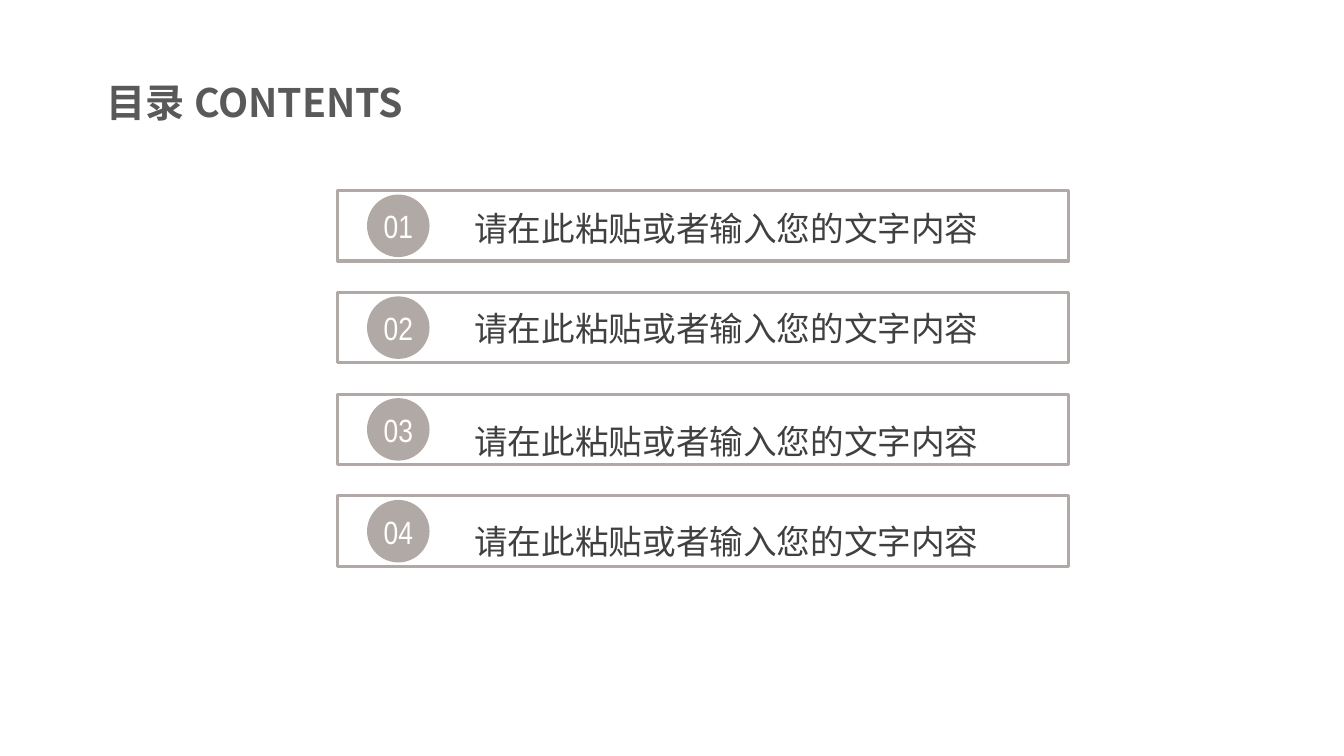
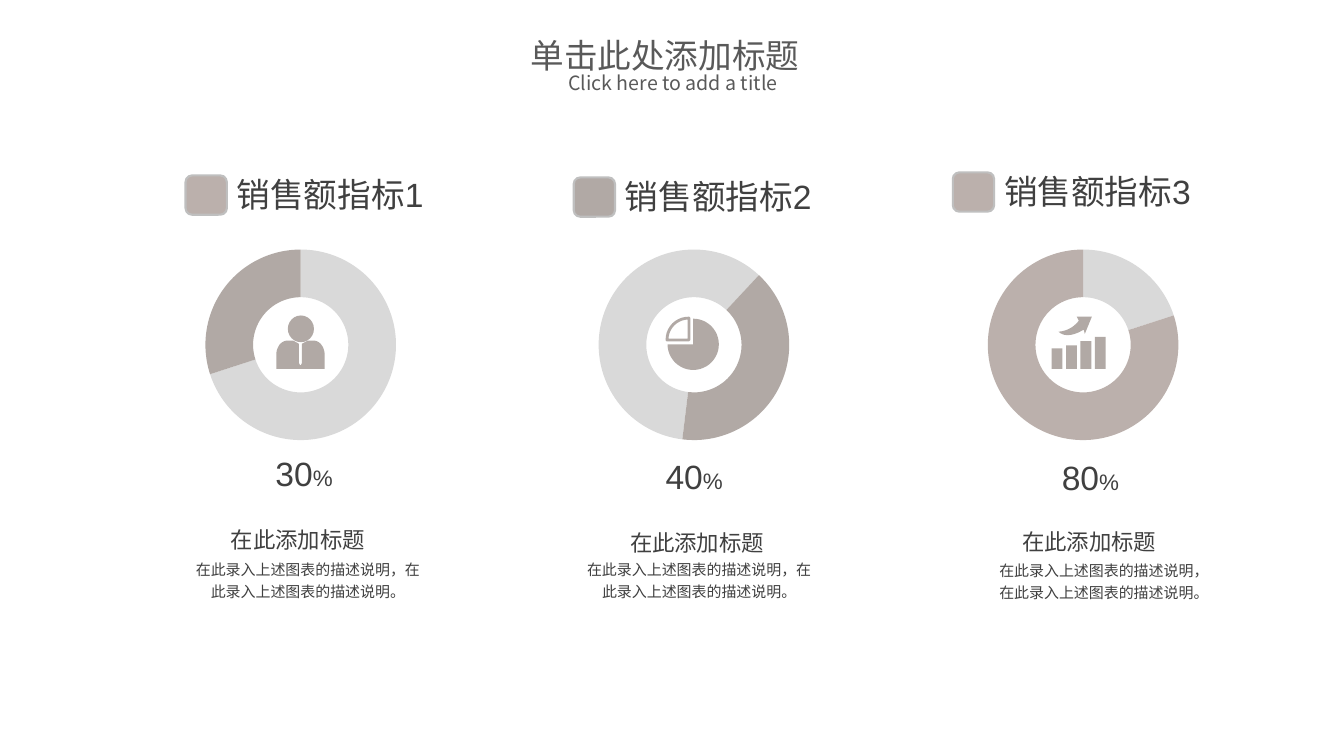
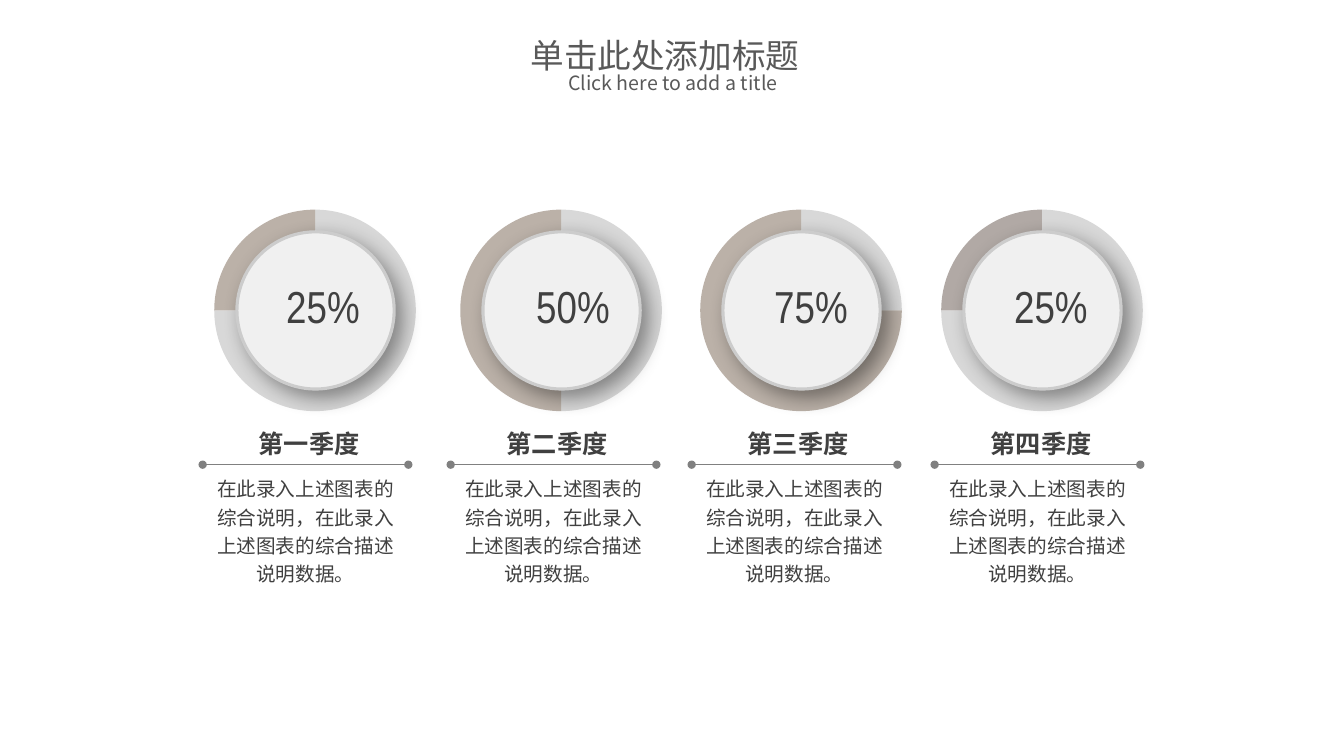
from dataclasses import dataclass

from lxml.etree import SubElement
from pptx import Presentation
from pptx.chart.data import CategoryChartData
from pptx.dml.color import RGBColor
from pptx.enum.chart import XL_CHART_TYPE
from pptx.enum.shapes import MSO_CONNECTOR, MSO_SHAPE
from pptx.enum.text import MSO_ANCHOR, MSO_AUTO_SIZE, PP_ALIGN
from pptx.oxml.ns import qn
from pptx.util import Inches, Pt


@dataclass(frozen=True)
class Theme:
    """Colours, fonts and type sizes shared by the slides."""

    stone: str = "B1A9A5"
    rose: str = "BBB0AC"
    sand: str = "BBB1A8"
    track: str = "D9D9D9"
    ring_track: str = "D8D8D8"
    disc: str = "F0F0F0"
    disc_edge: str = "CCCCCC"
    swatch_edge: str = "BFBFBF"
    rule: str = "808080"
    title: str = "595959"
    body: str = "404040"
    white: str = "FFFFFF"
    black: str = "000000"
    sans: str = "Noto Sans CJK SC"
    arial: str = "Arial"
    narrow: str = "Arial Narrow"
    calibri: str = "Calibri"
    east_asian: str = "Calibri"
    contents_size: float = 28
    title_size: float = 24
    subtitle_size: float = 14
    number_size: float = 23
    unit_size: float = 16
    caption_size: float = 10.7
    quarter_size: float = 18
    share_size: float = 32
    chart_size: float = 10


THEME = Theme()


@dataclass(frozen=True)
class Box:
    """A rectangle on the one-inch grid of the slide."""

    left: float
    top: float
    width: float
    height: float

    def inner(self, column, row, width, height):
        """Return a box placed in grid cells from this corner."""
        return Box(self.left + column, self.top + row, width, height)

    def share(self, x, y, width, height):
        """Return a box given as shares of this one."""
        return self.inner(x * self.width, y * self.height, width * self.width, height * self.height)

    def point(self, x, y):
        """Return a point given as shares of this box."""
        return Inches(self.left + x * self.width), Inches(self.top + y * self.height)

    def lengths(self):
        """Return the four lengths for the drawing methods."""
        return [Inches(value) for value in (self.left, self.top, self.width, self.height)]


def write(shape, text, size, font=THEME.arial, color=THEME.body, bold=False, align=PP_ALIGN.LEFT,
          spacing=None, anchor=MSO_ANCHOR.TOP, fit=True, margins=(0.1, 0.05), unit="",
          append=False, indent=0):
    """Write one formatted paragraph into a shape."""
    frame = shape.text_frame
    frame.word_wrap = True
    frame.auto_size = MSO_AUTO_SIZE.SHAPE_TO_FIT_TEXT if fit else MSO_AUTO_SIZE.NONE
    frame.vertical_anchor = anchor
    frame.margin_left = frame.margin_right = Inches(margins[0])
    frame.margin_top = frame.margin_bottom = Inches(margins[1])
    para = frame.add_paragraph() if append else frame.paragraphs[0]
    para.alignment = align
    if spacing:
        para.line_spacing = spacing
    if indent:
        para._p.get_or_add_pPr().set("marL", str(Inches(indent)))
    for words, points in ((text, size), (unit, THEME.unit_size)):
        if words:
            span = para.add_run()
            span.text = words
            span.font.size = Pt(points)
            span.font.bold = bold
            span.font.name = font
            span.font.color.rgb = RGBColor.from_string(color)
            properties = span._r.get_or_add_rPr()
            properties.set("lang", "zh-CN")
            SubElement(properties, qn("a:ea")).set("typeface", THEME.east_asian)


def label(page, box, text, size, **style):
    """Add a text box."""
    write(page.shapes.add_textbox(*box.lengths()), text, size, **style)


def paint(shape, fill=None, line=None, width=1):
    """Set fill and line, and drop the shadow."""
    shape.shadow.inherit = False
    if fill:
        shape.fill.solid()
        shape.fill.fore_color.rgb = RGBColor.from_string(fill)
    else:
        shape.fill.background()
    if line:
        shape.line.color.rgb = RGBColor.from_string(line)
        shape.line.width = Pt(width)
    else:
        shape.line.fill.background()
    return shape


def draw(page, kind, box, **style):
    """Add a preset shape."""
    return paint(page.shapes.add_shape(kind, *box.lengths()), **style)


def outline(page, box, points, **style):
    """Add a closed outline whose points are shares of the box."""
    corners = [box.point(*point) for point in points]
    builder = page.shapes.build_freeform(*corners[0])
    builder.add_line_segments(corners[1:], close=True)
    return paint(builder.convert_to_shape(), **style)


def curve(*controls, steps=10):
    """Sample a cubic curve through its four control points."""
    samples = []
    for step in range(steps + 1):
        t = step / steps
        weights = ((1 - t) ** 3, 3 * t * (1 - t) ** 2, 3 * t * t * (1 - t), t ** 3)
        samples.append(tuple(sum(w * p[axis] for w, p in zip(weights, controls)) for axis in (0, 1)))
    return samples


def person_icon(page, box):
    """Draw a head and shoulders with a tie."""
    draw(page, MSO_SHAPE.OVAL, box.share(0.24, 0, 0.54, 0.5), fill=THEME.stone)
    half = [(0, 1), *curve((0, 0.74), (0, 0.59), (0.1, 0.47), (0.23, 0.47)),
            (0.35, 0.47), (0.47, 0.53), (0.47, 0.89), (0.49, 0.93)]
    mirrored = [(1 - x, y) for x, y in reversed(half)]
    outline(page, box, half + mirrored, fill=THEME.stone)


def pie_icon(page, box):
    """Draw a pie with one quarter pulled out."""
    wedge = draw(page, MSO_SHAPE.PIE, box.share(0.04, 0.04, 0.96, 0.96), fill=THEME.stone)
    wedge.rotation = 270
    quarter = curve((0.03, 0.44), (0.03, 0.21), (0.21, 0.03), (0.44, 0.03)) + [(0.44, 0.44)]
    outline(page, box, quarter, line=THEME.stone, width=2)


def growth_icon(page, box):
    """Draw four rising bars under an arrow."""
    for index, height in enumerate((0.39, 0.45, 0.53, 0.61)):
        draw(page, MSO_SHAPE.RECTANGLE, box.share(index * 0.265, 1 - height, 0.2, height),
             fill=THEME.stone)
    arrow = [*curve((0.5, 0.08), (0.46, 0.13), (0.35, 0.27), (0.13, 0.29)),
             *curve((0.13, 0.29), (0.13, 0.29), (0.26, 0.46), (0.59, 0.25)),
             (0.61, 0.33), (0.74, 0), (0.46, 0)]
    outline(page, box, arrow, fill=THEME.stone)


def share_chart(page, kind, box, values, colors, layout):
    """Add a round chart of two values and return its plot."""
    data = CategoryChartData()
    data.categories = ["1", "2"]
    data.add_series("Series 1", values)
    chart = page.shapes.add_chart(kind, *box.lengths(), data).chart
    chart.has_legend = False
    chart.has_title = False
    chart.font.size = Pt(THEME.chart_size)
    chart.font.name = THEME.calibri
    chart.font.color.rgb = RGBColor.from_string(THEME.black)
    plot = chart.plots[0]
    plot.vary_by_categories = True
    for index, color in enumerate(colors):
        part = plot.series[0].points[index].format
        part.fill.solid()
        part.fill.fore_color.rgb = RGBColor.from_string(color)
        part.line.fill.background()
    area = plot._element.getparent()
    for old in area.findall(qn("c:layout")):
        area.remove(old)
    holder = SubElement(area, qn("c:layout"))
    area.insert(0, holder)
    manual = SubElement(holder, qn("c:manualLayout"))
    settings = [("layoutTarget", "inner"), ("xMode", "edge"), ("yMode", "edge"),
                *zip("xywh", layout)]
    for name, value in settings:
        SubElement(manual, qn(f"c:{name}")).set("val", str(value))
    return plot


def add_page(deck, box, text, size, **style):
    """Add a title-only slide and format its title."""
    page = deck.slides.add_slide(deck.slide_layouts[5])
    title = page.shapes.title
    title.left, title.top, title.width, title.height = box.lengths()
    write(title, text, size, font=THEME.sans, color=THEME.title, anchor=MSO_ANCHOR.MIDDLE,
          fit=False, **style)
    return page


def add_report_page(deck):
    """Add a slide with the centred two-line title."""
    page = add_page(deck, Box(3.88, 0.38, 5.43, 0.52), "单击此处添加标题", THEME.title_size,
                    align=PP_ALIGN.CENTER)
    write(page.shapes.title, "Click here to add a title", THEME.subtitle_size, font=THEME.sans,
          color=THEME.title, anchor=MSO_ANCHOR.MIDDLE, fit=False, align=PP_ALIGN.CENTER,
          append=True, indent=0.16, spacing=0.8)
    return page


def contents_row(page, box, number, text_row):
    """Draw one framed entry with its number."""
    draw(page, MSO_SHAPE.RECTANGLE, box, line=THEME.stone, width=2.25)
    draw(page, MSO_SHAPE.OVAL, box.inner(0.29, 0.04, 0.62, 0.62), fill=THEME.stone)
    label(page, box.inner(0.88, text_row, 5.95, 0.59), "请在此粘贴或者输入您的文字内容",
          THEME.title_size, font=THEME.sans, align=PP_ALIGN.CENTER, spacing=1.3,
          margins=(0.07, 0.04))
    label(page, box.inner(0.34, 0.13, 0.52, 0.44), f"{number:02d}", THEME.number_size,
          font=THEME.narrow, color=THEME.white, align=PP_ALIGN.CENTER, margins=(0.06, 0.03))


def contents_slide(deck):
    """Build the table of contents."""
    page = add_page(deck, Box(0.96, 0.75, 3.82, 0.52), "目录 CONTENTS", THEME.contents_size,
                    bold=True)
    first = Box(3.35, 1.89, 7.25, 0.7)
    for index, text_row in enumerate((0.01, -0.01, 0.11, 0.09)):
        contents_row(page, first.inner(0, index * 1.01, first.width, first.height),
                     index + 1, text_row)


@dataclass(frozen=True)
class Indicator:
    """One sales indicator and the cells of its parts in the column."""

    left: float
    percent: int
    color: str
    swatch: str
    icon: object
    icon_cell: tuple
    legend: tuple
    figure: tuple
    heading: tuple
    caption: tuple
    start: int = 0


INDICATORS = (
    Indicator(1, 30, THEME.stone, THEME.rose, person_icon, (1.74, 1.48, 0.48, 0.53),
              (0.84, 0.09), (1.39, 2.79), (1.19, 3.52), (0.84, 3.83, 2.43)),
    Indicator(4.9, 40, THEME.stone, THEME.stone, pie_icon, (1.7, 1.49, 0.53, 0.53),
              (0.79, 0.11), (1.36, 2.82), (1.25, 3.55), (0.79, 3.83, 2.49), 187),
    Indicator(8.76, 80, THEME.rose, THEME.rose, growth_icon, (1.67, 1.49, 0.54, 0.52),
              (0.69, 0.06), (1.43, 2.83), (1.28, 3.54), (0.99, 3.84, 2.4)),
)


def indicator_column(page, box, item, number):
    """Draw one doughnut with its legend, icon and texts."""
    plot = share_chart(page, XL_CHART_TYPE.DOUGHNUT, box.inner(0, 0.62, box.width, 2.34),
                       (100 - item.percent, item.percent), (THEME.track, item.color),
                       (0.213, 0.088, 0.539, 0.808))
    plot._element.find(qn("c:firstSliceAng")).set("val", str(item.start))
    plot._element.find(qn("c:holeSize")).set("val", "75")
    item.icon(page, box.inner(*item.icon_cell))
    legend = box.inner(*item.legend, 2.55, 0.53)
    draw(page, MSO_SHAPE.ROUNDED_RECTANGLE, legend.inner(0, 0, 0.41, 0.39), fill=item.swatch,
         line=THEME.swatch_edge, width=1.5)
    label(page, legend.inner(0.41, -0.06, 2.14, 0.53), f"销售额指标{number}", THEME.title_size)
    label(page, box.inner(*item.figure, 1.25, 0.53), str(item.percent), THEME.title_size,
          unit="%", align=PP_ALIGN.CENTER)
    label(page, box.inner(*item.heading, 2.11, 0.39), "在此添加标题", THEME.unit_size)
    label(page, box.inner(*item.caption, 0.53), "在此录入上述图表的描述说明，在此录入上述图表的描述说明。",
          THEME.caption_size, font=THEME.calibri, align=PP_ALIGN.CENTER, spacing=1.2)


def indicators_slide(deck):
    """Build the slide of three sales indicators."""
    page = add_report_page(deck)
    for number, item in enumerate(INDICATORS, 1):
        indicator_column(page, Box(item.left, 1.65, 4.11, 4.4), item, number)


def cast_shadow(shape):
    """Give a shape a soft shadow to the lower right."""
    effects = shape._element.spPr.find(qn("a:effectLst"))
    shadow = SubElement(effects, qn("a:outerShdw"), blurRad=str(Pt(15)), dist=str(Pt(7)),
                        dir="2700000", algn="tl", rotWithShape="0")
    color = SubElement(shadow, qn("a:srgbClr"), val=THEME.black)
    SubElement(color, qn("a:alpha"), val="40000")


def dotted_rule(page, box):
    """Draw a thin line along the top of the box with a dot at each end."""
    rule = page.shapes.add_connector(MSO_CONNECTOR.STRAIGHT, *box.point(0, 0), *box.point(1, 0))
    rule.line.color.rgb = RGBColor.from_string(THEME.rule)
    rule.line.width = Pt(0.5)
    properties = rule._element.spPr
    for end in ("a:headEnd", "a:tailEnd"):
        SubElement(properties.find(qn("a:ln")), qn(end)).set("type", "oval")
    SubElement(properties, qn("a:effectLst"))


def quarter_column(page, box, name, percent, color, figure_column, text_column):
    """Draw one ring with its disc, figure and texts."""
    share_chart(page, XL_CHART_TYPE.PIE, box.inner(0, 0, box.width, 2.28),
                (100 - percent, percent), (THEME.ring_track, color), (0.154, 0.06, 0.692, 0.88))
    cast_shadow(draw(page, MSO_SHAPE.OVAL, box.inner(0.67, 0.36, 1.56, 1.56), fill=THEME.disc,
                     line=THEME.disc_edge, width=2.25))
    label(page, box.inner(figure_column, 0.78, 1.03, 0.64), f"{percent}%", THEME.share_size,
          font=THEME.narrow)
    texts = box.inner(text_column, 2.67, 2.04, 1.25)
    dotted_rule(page, texts)
    label(page, texts.inner(0.15, -0.41, 1.81, 0.42), name, THEME.quarter_size, font=THEME.sans,
          bold=True, align=PP_ALIGN.CENTER)
    label(page, texts.inner(0, 0.03, 2.04, 1.22),
          "在此录入上述图表的综合说明，在此录入上述图表的综合描述说明数据。", THEME.subtitle_size,
          font=THEME.sans, align=PP_ALIGN.CENTER, spacing=1.2)


def quarters_slide(deck):
    """Build the slide of four quarters."""
    page = add_report_page(deck)
    quarters = (
        (1.68, "第一季度", 25, THEME.sand, 1.06, 0.33),
        (4.12, "第二季度", 50, THEME.sand, 1.1, 0.35),
        (6.5, "第三季度", 75, THEME.sand, 1.08, 0.36),
        (8.89, "第四季度", 25, THEME.stone, 1.07, 0.38),
    )
    for left, *details in quarters:
        quarter_column(page, Box(left, 1.94, 2.89, 3.92), *details)


def main():
    """Build and save the deck."""
    deck = Presentation()
    deck.slide_width, deck.slide_height = Inches(13.33), Inches(7.5)
    contents_slide(deck)
    indicators_slide(deck)
    quarters_slide(deck)
    deck.save("out.pptx")


if __name__ == "__main__":
    main()
